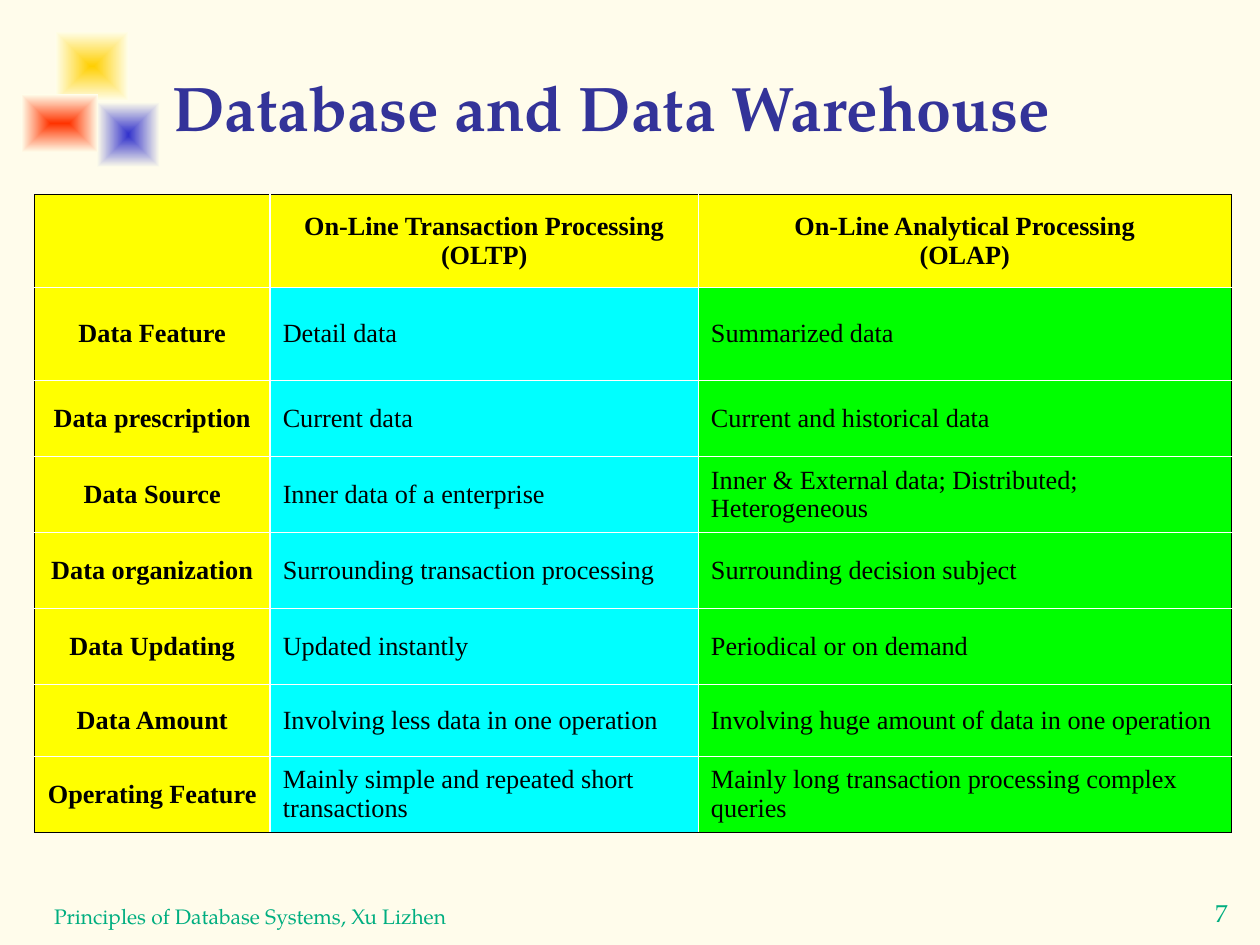
from pptx import Presentation, util as u
from pptx.dml.color import RGBColor
from pptx.enum import shapes, text
from pptx.oxml import parse_xml

NS = 'xmlns:a="http://schemas.openxmlformats.org/drawingml/2006/main"'
C = {"bg": "FFFCEB", "fade": "FFFEEB", "gold": "FFCF01", "blue": "3333CC", "red": "FF3300",
     "title": "333399", "footer": "00AE80", "yellow": "FFFF00", "cyan": "00FFFF",
     "green": "00FF00", "black": "000000", "white": "FFFFFF"}
PAGELLA, TIMES = "TeX Gyre Pagella", "Times New Roman"
LEFT, CENTER = text.PP_ALIGN.LEFT, text.PP_ALIGN.CENTER


def write(tf, lines, align, color, **font):
    for i, line in enumerate(lines):
        p = tf.paragraphs[0] if i == 0 else tf.add_paragraph()
        p.alignment = align
        r = p.add_run()
        r.text = line
        r.font.color.rgb = RGBColor.from_string(C[color])
        for key, value in font.items():
            setattr(r.font, key, value)


prs = Presentation()
prs.slide_width, prs.slide_height = u.Pt(720), u.Pt(540)
s = prs.slides.add_slide(prs.slide_layouts[5])
s.background.fill.solid()
s.background.fill.fore_color.rgb = RGBColor.from_string(C["bg"])

for color, *box in [("gold", 31.7, 18, 41.8, 39.6),
                    ("blue", 55.4, 58.3, 36, 37.4),
                    ("red", 12.2, 54, 43.9, 33.1)]:
    sp = s.shapes.add_shape(shapes.MSO_SHAPE.RECTANGLE, *map(u.Pt, box))
    sp.shadow.inherit = False
    sp.line.fill.background()
    sp.fill.background()
    spPr = sp._element.spPr
    grad = parse_xml(
        f'<a:gradFill {NS} rotWithShape="1"><a:gsLst>'
        f'<a:gs pos="0"><a:srgbClr val="{C[color]}"/></a:gs>'
        f'<a:gs pos="100000"><a:srgbClr val="{C["fade"]}"/></a:gs></a:gsLst>'
        '<a:path path="rect"><a:fillToRect l="50000" t="50000" r="50000" b="50000"/></a:path>'
        '</a:gradFill>')
    spPr.replace(spPr.find("{*}noFill"), grad)

title = s.shapes.title
title.left, title.top, title.width, title.height = map(u.Pt, (91.4, 11.5, 612, 74.2))
tf = title.text_frame
for key, value in {"vertical_anchor": text.MSO_ANCHOR.BOTTOM, "word_wrap": True,
                   "auto_size": text.MSO_AUTO_SIZE.NONE}.items():
    setattr(tf, key, value)
write(tf, ["Database and Data Warehouse"], LEFT, "title", size=u.Pt(36), name=PAGELLA, bold=True)

for line, size, align, anchor, wrap, box in [
        ("7", 14, CENTER, text.MSO_ANCHOR.TOP, False, (655.2, 509.8, 85.7, 27.4)),
        ("Principles of Database Systems, Xu Lizhen", 12, LEFT, text.MSO_ANCHOR.BOTTOM, True,
         (23.8, 498.2, 468, 36))]:
    tf = s.shapes.add_textbox(*map(u.Pt, box)).text_frame
    tf.word_wrap, tf.vertical_anchor = wrap, anchor
    write(tf, [line], align, "footer", size=u.Pt(size), name=PAGELLA)

rows = [
    ("", "On-Line Transaction Processing\n(OLTP)", "On-Line Analytical Processing\n(OLAP)"),
    ("Data Feature", "Detail data", "Summarized data"),
    ("Data prescription", "Current data", "Current and historical data"),
    ("Data Source", "Inner data of a enterprise",
     "Inner & External data; Distributed; Heterogeneous"),
    ("Data organization", "Surrounding transaction processing", "Surrounding decision subject"),
    ("Data Updating", "Updated instantly", "Periodical or on demand"),
    ("Data Amount", "Involving less data in one operation",
     "Involving huge amount of data in one operation"),
    ("Operating Feature", "Mainly simple and repeated short transactions",
     "Mainly long transaction processing complex queries"),
]
widths = [134.8, 244.7, 304.5]
heights = [53.2, 53.2, 43.5, 43.5, 43.2, 43.5, 41.1, 43.3]
frame = s.shapes.add_table(len(rows), len(widths), u.Pt(19.6), u.Pt(111.1),
                           u.Pt(sum(widths)), u.Pt(sum(heights)))
tbl = frame.table
for col, width in zip(tbl.columns, widths):
    col.width = u.Pt(width)
for row, height in zip(tbl.rows, heights):
    row.height = u.Pt(height)

for i, row in enumerate(rows):
    for j, value in enumerate(row):
        cell = tbl.cell(i, j)
        head = i == 0 or j == 0
        cell.vertical_anchor = text.MSO_ANCHOR.MIDDLE
        cell.fill.solid()
        fill = "yellow" if head else ("cyan", "green")[j - 1]
        cell.fill.fore_color.rgb = RGBColor.from_string(C[fill])
        write(cell.text_frame, value.split("\n"), CENTER if head else LEFT, "black",
              size=u.Pt(15), name=TIMES, bold=head)
        outer = {"L": j == 0, "R": j == len(widths) - 1, "T": i == 0, "B": i == len(rows) - 1}
        for k, (side, edge) in enumerate(outer.items()):
            color, width = ("black", 0.45) if edge else ("white", 0.96)
            cell._tc.get_or_add_tcPr().insert(k, parse_xml(
                f'<a:ln{side} {NS} w="{u.Pt(width)}"><a:solidFill>'
                f'<a:srgbClr val="{C[color]}"/></a:solidFill></a:ln{side}>'))

prs.save("out.pptx")
